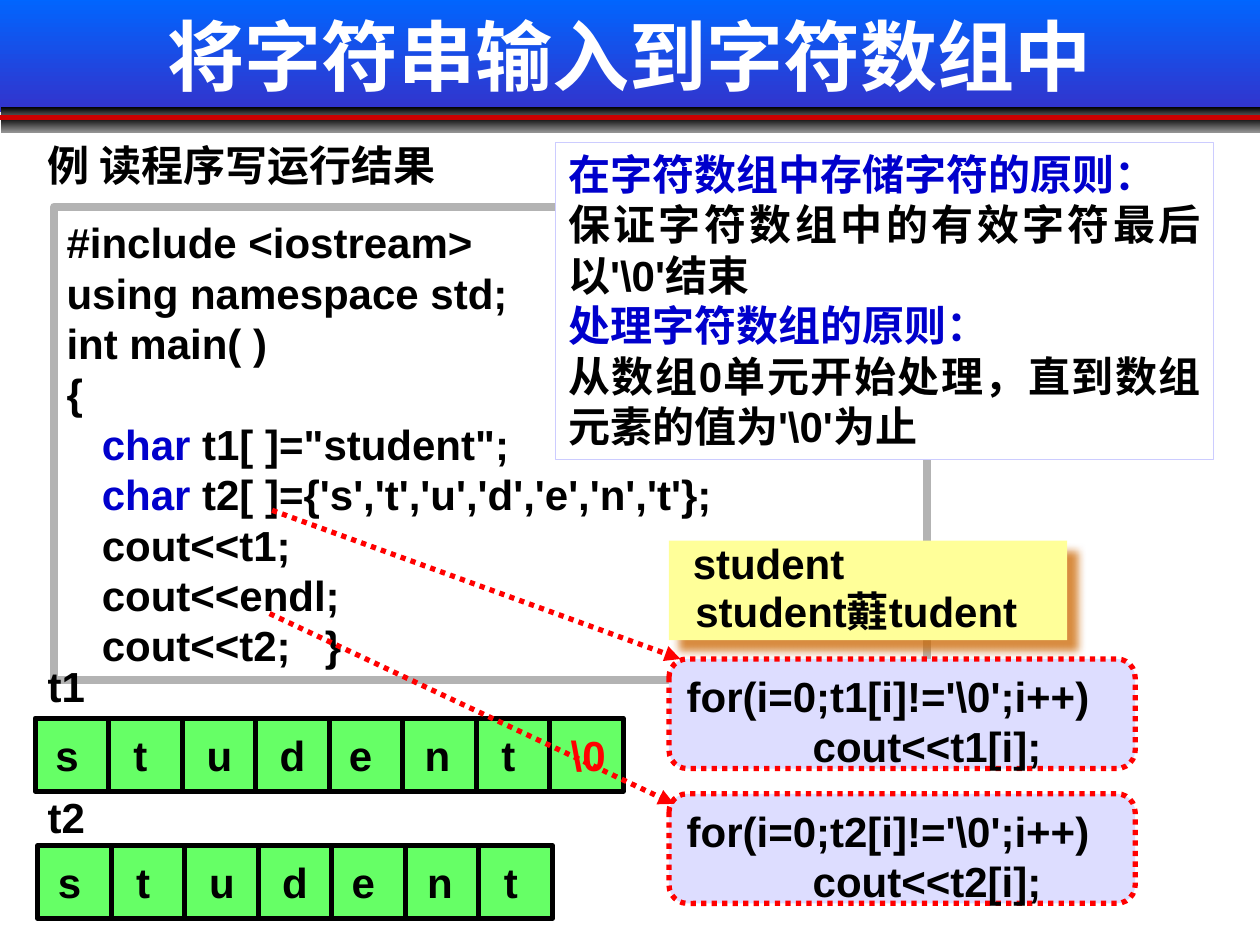
import dataclasses

import lxml.etree
import pptx
import pptx.dml.color
import pptx.enum.dml
import pptx.enum.shapes
import pptx.enum.text
import pptx.oxml.ns
import pptx.util

Inches = pptx.util.Inches
Pt = pptx.util.Pt
SHAPE = pptx.enum.shapes.MSO_SHAPE
ALIGN = pptx.enum.text.PP_ALIGN
ANCHOR = pptx.enum.text.MSO_ANCHOR


@dataclasses.dataclass(frozen=True)
class Theme:
    font: str = "Arial"
    cjk_font: str = "Noto Sans CJK SC"
    title_size: int = 44
    body_size: int = 24
    white: str = "FFFFFF"
    ink: str = "000000"
    keyword: str = "0000CC"
    red: str = "FF0000"
    rule: str = "CC0000"
    frame: str = "B3B3B3"
    cell: str = "66FF66"
    note_line: str = "CCCCFF"
    output: str = "FFFF99"
    loop: str = "DDDDFF"
    banner: tuple = ("0066FF", "3333CC")
    bar: tuple = ("000000", "929292")
    banner_shadow: tuple = ("808080", 5, 3)
    output_shadow: tuple = ("CC6600", 5, 8.5)


def rgb(value):
    return pptx.dml.color.RGBColor.from_string(value)


def add_xml(parent, tag, **attributes):
    return lxml.etree.SubElement(parent, pptx.oxml.ns.qn(tag), attributes)


class Builder:
    def __init__(self, page, theme):
        self.page = page
        self.theme = theme

    def style_line(self, line, color, width, dotted=False):
        line.color.rgb = rgb(color)
        line.width = Pt(width)
        if dotted:
            line.dash_style = pptx.enum.dml.MSO_LINE.ROUND_DOT

    def shape(self, bounds, fill=None, line=None, width=3, dotted=False,
              kind=SHAPE.RECTANGLE, shadow=None, shapes=None):
        box = (shapes or self.page.shapes).add_shape(kind, *map(Inches, bounds))
        if isinstance(fill, tuple):
            box.fill.gradient()
            box.fill.gradient_angle = 270
            for stop, color in zip(box.fill.gradient_stops, fill):
                stop.color.rgb = rgb(color)
        elif fill:
            box.fill.solid()
            box.fill.fore_color.rgb = rgb(fill)
        else:
            box.fill.background()
        if line:
            self.style_line(box.line, line, width, dotted)
        else:
            box.line.fill.background()
        box.shadow.inherit = False
        if shadow:
            self.cast_shadow(box, *shadow)
        return box

    def cast_shadow(self, box, color, blur, distance):
        effects = box._element.spPr.find(pptx.oxml.ns.qn("a:effectLst"))
        outer = add_xml(effects, "a:outerShdw", blurRad=str(Pt(blur)), dist=str(Pt(distance)),
                        dir="2700000", algn="tl", rotWithShape="0")
        add_xml(add_xml(outer, "a:srgbClr", val=color), "a:alpha", val="75000")

    def line(self, start, end, color, width=3, dotted=False, arrow=False, shapes=None):
        connector = (shapes or self.page.shapes).add_connector(
            pptx.enum.shapes.MSO_CONNECTOR.STRAIGHT, *map(Inches, start + end))
        self.style_line(connector.line, color, width, dotted)
        if arrow:
            add_xml(connector.line._get_or_add_ln(), "a:tailEnd", type="triangle")
        add_xml(connector._element.spPr, "a:effectLst")

    def set_text(self, box, paragraphs, size=None, color=None, align=ALIGN.LEFT,
                 anchor=ANCHOR.TOP, tabs=(), grow=False):
        frame = box.text_frame
        frame.word_wrap = True
        frame.vertical_anchor = anchor
        if grow:
            frame.auto_size = pptx.enum.text.MSO_AUTO_SIZE.SHAPE_TO_FIT_TEXT
        for index, spans in enumerate(paragraphs):
            para = frame.paragraphs[0] if index == 0 else frame.add_paragraph()
            para.alignment = align
            if tabs:
                stops = add_xml(para._p.get_or_add_pPr(), "a:tabLst")
                for position in tabs:
                    add_xml(stops, "a:tab", pos=str(Inches(position)), algn="l")
            para.font.name = self.theme.font
            para.font.size = Pt(size or self.theme.body_size)
            para.font.bold = True
            para.font.color.rgb = rgb(color or self.theme.ink)
            latin = next(para._p.iter(pptx.oxml.ns.qn("a:latin")))
            latin.addnext(latin.makeelement(
                pptx.oxml.ns.qn("a:ea"), {"typeface": self.theme.cjk_font}))
            for text, span_color in [(spans, None)] if isinstance(spans, str) else spans:
                span = para.add_run()
                span.text = text
                if span_color:
                    span.font.color.rgb = rgb(span_color)

    def title(self, bounds, text):
        box = self.page.shapes.title
        box.left, box.top, box.width, box.height = map(Inches, bounds)
        self.set_text(box, [text], self.theme.title_size, self.theme.white,
                      ALIGN.CENTER, ANCHOR.MIDDLE)
        tree = box._element.getparent()
        tree.remove(box._element)
        tree.append(box._element)

    def text(self, bounds, text, color=None, flush=False):
        box = self.page.shapes.add_textbox(*map(Inches, bounds))
        if flush:
            box.text_frame.margin_left = box.text_frame.margin_right = 0
        self.set_text(box, [text], color=color, grow=True)

    def array(self, left, top, letters):
        pitch, height = 7 / 12, 0.58
        offsets = (0.16, 0.78, 1.36, 1.94, 2.49, 3.09, 3.7, 4.25)
        cells = self.page.shapes.add_group_shape().shapes
        self.shape((left, top, pitch * len(letters), height), self.theme.cell,
                   self.theme.ink, shapes=cells)
        for index in range(1, len(letters)):
            x = left + pitch * index
            self.line((x, top), (x, top + height), self.theme.ink, shapes=cells)
        for letter, offset in zip(letters, offsets):
            color = self.theme.red if letter == "\\0" else None
            self.text((left + offset, top + 0.04, 0.5, 0.5), letter, color, flush=True)

    def loop(self, top, name):
        box = self.shape((5.31, top, 3.7, 0.87), self.theme.loop, self.theme.red,
                         dotted=True, kind=SHAPE.ROUNDED_RECTANGLE)
        self.set_text(box, [f"for(i=0;{name}[i]!='\\0';i++)", f"\tcout<<{name}[i];"], tabs=(1,))


def main():
    deck = pptx.Presentation()
    deck.slide_width, deck.slide_height = Inches(10), Inches(7.5)
    theme = Theme()
    slide = Builder(deck.slides.add_slide(deck.slide_layouts[5]), theme)

    slide.shape((0, -0.03, 10, 0.92), theme.banner, shadow=theme.banner_shadow)
    for top in (0.85, 0.93):
        slide.shape((0.01, top, 9.99, 0.12), theme.bar)
    slide.line((0, 0.93), (10, 0.93), theme.rule)
    slide.title((1.18, -0.19, 7.64, 1.25), "将字符串输入到字符数组中")
    slide.text((0.28, 1.06, 5.33, 0.5), "例 读程序写运行结果")

    code = slide.shape((0.43, 1.64, 6.93, 3.76), line=theme.frame, width=4.5)
    slide.set_text(code, [
        "#include <iostream>",
        "using namespace std;",
        "int main( )",
        "{",
        [("\tchar", theme.keyword), (" t1[ ]=\"student\";", None)],
        [("\tchar", theme.keyword), (" t2[ ]={'s','t','u','d','e','n','t'};", None)],
        "\tcout<<t1;",
        "\tcout<<endl;",
        "\tcout<<t2;\t}",
    ], anchor=ANCHOR.MIDDLE, tabs=(0.28, 2.05))

    slide.text((0.28, 5.19, 0.58, 0.5), "t1")
    slide.array(0.28, 5.7, [*"student", "\\0"])
    slide.text((0.28, 6.23, 0.58, 0.5), "t2")
    slide.array(0.3, 6.71, "student")

    note = slide.shape((4.41, 1.13, 5.22, 2.52), theme.white, theme.note_line, 0.75)
    slide.set_text(note, [
        [("在字符数组中存储字符的原则：", theme.keyword)],
        "保证字符数组中的有效字符最后以'\\0'结束",
        [("处理字符数组的原则：", theme.keyword)],
        "从数组0单元开始处理，直到数组元素的值为'\\0'为止",
    ], align=ALIGN.JUSTIFY, grow=True)

    slide.shape((5.31, 4.29, 3.16, 0.79), theme.output, shadow=theme.output_shadow)
    slide.text((5.4, 4.22, 3.07, 0.51), "student")
    slide.text((5.42, 4.6, 3.07, 0.51), "student蘳tudent")

    slide.loop(6.3, "t2")
    for start, end in (((2.16, 4.05), (5.4, 5.23)), ((2.14, 4.87), (5.35, 6.38))):
        slide.line(start, end, theme.red, dotted=True, arrow=True)
    slide.loop(5.23, "t1")

    deck.save("out.pptx")


if __name__ == "__main__":
    main()
